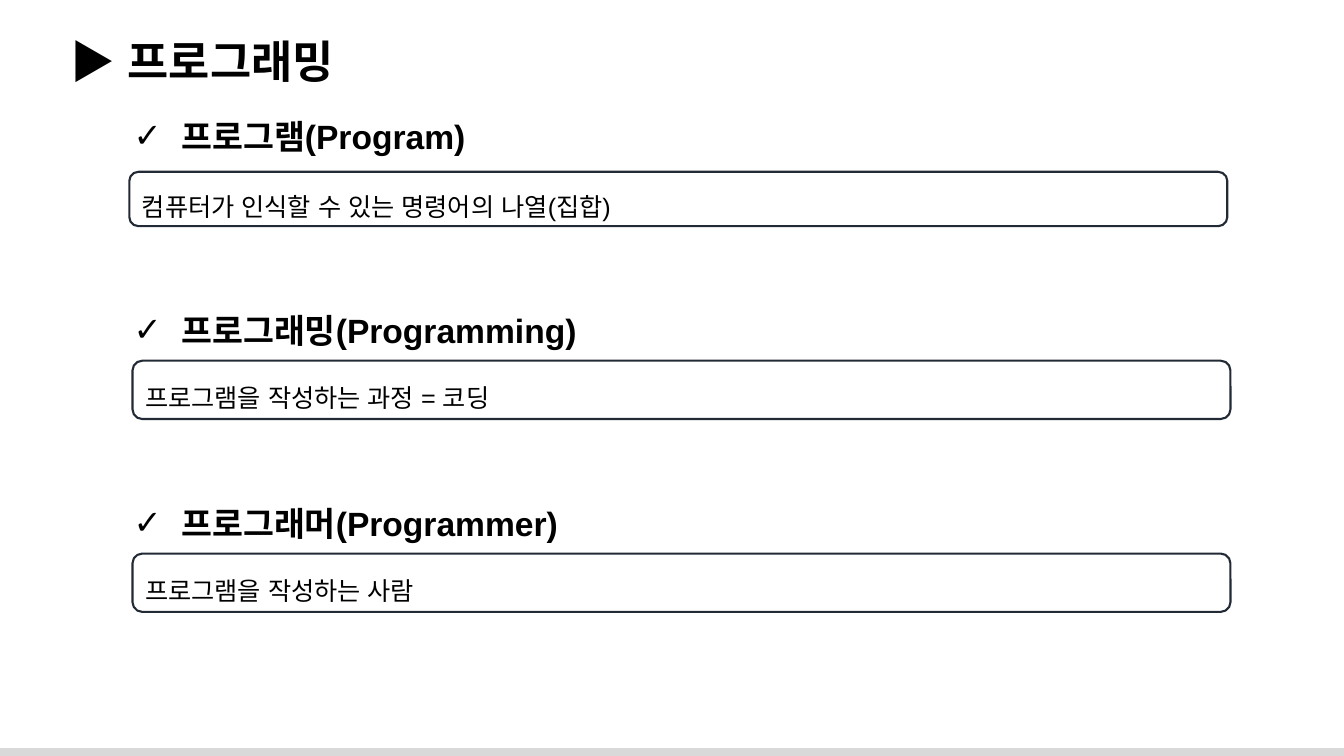
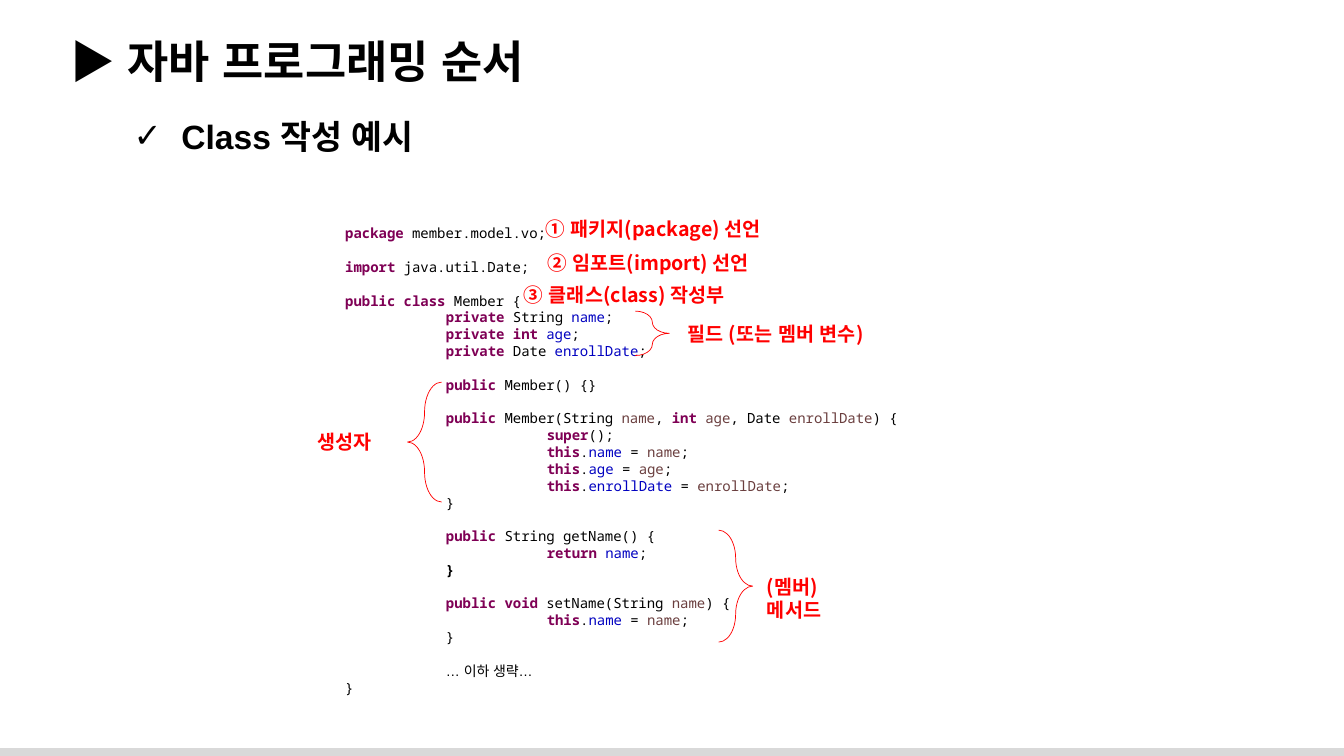
from lxml import etree
from pptx import Presentation
from pptx.dml.color import RGBColor
from pptx.enum.shapes import MSO_SHAPE
from pptx.enum.text import MSO_ANCHOR, MSO_AUTO_SIZE, PP_ALIGN
from pptx.oxml.ns import qn
from pptx.util import Cm, Pt

RECTANGLE = MSO_SHAPE.RECTANGLE
ROUNDED = MSO_SHAPE.ROUNDED_RECTANGLE
LEFT_BRACE = MSO_SHAPE.LEFT_BRACE
RIGHT_BRACE = MSO_SHAPE.RIGHT_BRACE
LEFT = PP_ALIGN.LEFT
TOP = MSO_ANCHOR.TOP
MIDDLE = MSO_ANCHOR.MIDDLE
NO_AUTOFIT = MSO_AUTO_SIZE.NONE
TITLE_ONLY = 5

WIDTH, HEIGHT = 33.87, 19.05
BLACK, RED, NAVY, GREY = "000000", "FF0000", "222A35", "D9D9D9"
TEXT_FONT, LABEL_FONT, CODE_FONT = "Arial", "Noto Sans CJK KR", "Noto Sans Mono"
TAB_STOPS = (2.54, 5.08)

# First letter of a code piece: its colour and weight
CODE_STYLES = {
    "*": ("7F0055", True),   # keyword
    "$": ("0000C0", False),  # field
    "@": ("6A3E3E", False),  # parameter
    "!": (BLACK, True),      # strong
    ".": (BLACK, False),     # plain
}

# Pieces of a line are divided by "|"
CLASS_CODE = """\
*package |.member.model.vo;

*import |.java.util.Date;

*public class |.Member {
*\tprivate |.String |$name|.;
*\tprivate int |$age|.;
*\tprivate |.Date |$enrollDate|.;

*\tpublic |.Member() {}

*\tpublic |.Member(String |@name|., |*int |@age|., Date |@enrollDate|.) {
*\t\tsuper|.();
*\t\tthis|..|$name |.= |@name|.;
*\t\tthis|..|$age |.= |@age|.;
*\t\tthis|..|$enrollDate |.= |@enrollDate|.;
.\t}

*\tpublic |.String getName() {
*\t\treturn |$name|.;
!\t}

*\tpublic void |.setName(String |@name|.) {
*\t\tthis|..|$name |.= |@name|.;
.\t}

.\t… 이하 생략…
.}"""


def color(hex_text):
    return RGBColor.from_string(hex_text)


class Deck:
    """Holds the shared style and the current slide."""

    def __init__(self):
        self.presentation = Presentation()
        self.presentation.slide_width = Cm(WIDTH)
        self.presentation.slide_height = Cm(HEIGHT)
        self.layout = self.presentation.slide_layouts[TITLE_ONLY]
        self.slide = None

    def add_slide(self, title):
        first = self.slide is None
        self.slide = self.presentation.slides.add_slide(self.layout)
        if first:
            self.add_band_to_layout()
        shape = self.slide.shapes.title
        shape.left, shape.top, shape.width, shape.height = (
            Cm(1.52), Cm(0.71), Cm(32), Cm(1.63))
        frame = shape.text_frame
        frame.auto_size = NO_AUTOFIT
        frame.vertical_anchor = MIDDLE
        frame.text = "▶ " + title
        self.format(frame.paragraphs[0], TEXT_FONT, 32, bold=True)

    def add_band_to_layout(self):
        band = self.shape(RECTANGLE, 0, 18.85, WIDTH, 0.2, fill=GREY)
        self.layout.shapes.element.insert(2, band.element)

    def format(self, paragraph, font, size, hex_text=BLACK, bold=False):
        paragraph.alignment = LEFT
        paragraph.font.name = font
        paragraph.font.size = Pt(size)
        paragraph.font.bold = bold
        paragraph.font.color.rgb = color(hex_text)
        # East Asian typeface, which also sets the width of Korean word gaps
        defaults = paragraph._p.pPr.find(qn("a:defRPr"))
        etree.SubElement(defaults, qn("a:ea")).set("typeface", TEXT_FONT)

    def shape(self, kind, left, top, width, height, fill=None, line=None, weight=1):
        shape = self.slide.shapes.add_shape(
            kind, Cm(left), Cm(top), Cm(width), Cm(height))
        shape.shadow.inherit = False
        if fill:
            shape.fill.solid()
            shape.fill.fore_color.rgb = color(fill)
        else:
            shape.fill.background()
        if line:
            shape.line.color.rgb = color(line)
            shape.line.width = Pt(weight)
        else:
            shape.line.fill.background()
        return shape

    def text_frame(self, left, top, width, height):
        box = self.slide.shapes.add_textbox(
            Cm(left), Cm(top), Cm(width), Cm(height))
        box.text_frame.word_wrap = True
        box.text_frame.vertical_anchor = TOP
        return box.text_frame

    def heading(self, text, top, width):
        paragraph = self.text_frame(3.12, top, width, 1.27).paragraphs[0]
        paragraph.text = text
        # Check mark bullet with a hanging indent
        properties = paragraph._p.get_or_add_pPr()
        properties.set("marL", str(Cm(1.2)))
        properties.set("indent", str(-Cm(1.2)))
        etree.SubElement(properties, qn("a:buFont")).set("typeface", TEXT_FONT)
        etree.SubElement(properties, qn("a:buChar")).set("char", "✓")
        self.format(paragraph, TEXT_FONT, 24, bold=True)

    def definition(self, text, left, top, height):
        frame = self.shape(ROUNDED, left, top, 27.67, height,
                           line=NAVY, weight=1.5).text_frame
        frame.word_wrap = True
        frame.vertical_anchor = MIDDLE
        paragraph = frame.paragraphs[0]
        paragraph.text = text
        paragraph.line_spacing = 1.5
        self.format(paragraph, TEXT_FONT, 18)

    def label(self, text, left, top, width, height=0.86):
        paragraph = self.text_frame(left, top, width, height).paragraphs[0]
        paragraph.text = text
        self.format(paragraph, LABEL_FONT, 14, RED, bold=True)

    def brace(self, kind, left, top, height):
        shape = self.shape(kind, left, top, 0.86, height, line=RED, weight=0.5)
        shape.adjustments[0] = 0.87

    def tab_stops(self, paragraph):
        tab_list = etree.SubElement(paragraph._p.get_or_add_pPr(), qn("a:tabLst"))
        for position in TAB_STOPS:
            tab = etree.SubElement(tab_list, qn("a:tab"))
            tab.set("pos", str(Cm(position)))
            tab.set("algn", "l")

    def code(self, source, left, top, width, height):
        frame = self.text_frame(left, top, width, height)
        for index, line in enumerate(source.split("\n")):
            paragraph = frame.add_paragraph() if index else frame.paragraphs[0]
            paragraph.line_spacing = Pt(12.02)
            self.tab_stops(paragraph)
            self.format(paragraph, CODE_FONT, 10)
            for piece in filter(None, line.split("|")):
                hex_text, bold = CODE_STYLES[piece[0]]
                run = paragraph.add_run()
                run.text = piece[1:]
                run.font.color.rgb = color(hex_text)
                run.font.bold = bold


def main():
    deck = Deck()

    # Slide 1: three terms and their definitions
    deck.add_slide("프로그래밍")
    for term, term_top, term_width, meaning, left, top, height in (
        ("프로그램(Program)", 2.79, 9.6,
         "컴퓨터가 인식할 수 있는 명령어의 나열(집합)", 3.26, 4.33, 1.37),
        ("프로그래밍(Programming)", 7.68, 12.6,
         "프로그램을 작성하는 과정 = 코딩", 3.34, 9.09, 1.47),
        ("프로그래머(Programmer)", 12.55, 12.1,
         "프로그램을 작성하는 사람", 3.34, 13.95, 1.47),
    ):
        deck.heading(term, term_top, term_width)
        deck.definition(meaning, left, top, height)

    # Slide 2: annotated class
    deck.add_slide("자바 프로그래밍 순서")
    deck.heading("Class 작성 예시", 2.79, 8.2)
    deck.code(CLASS_CODE, 8.45, 5.54, 16.94, 12.22)
    for text, left, top, width in (
        ("① 패키지(package) 선언", 13.49, 5.34, 6.5),
        ("② 임포트(import) 선언", 13.54, 6.2, 6.1),
        ("③ 클래스(class) 작성부", 12.95, 7.01, 6.3),
        ("필드 (또는 멤버 변수)", 17.07, 7.98, 5.7),
        ("생성자", 7.75, 10.72, 2.3),
    ):
        deck.label(text, left, top, width)
    deck.label("(멤버)\v메서드", 19.08, 14.35, 3.53, 1.45)
    deck.brace(LEFT_BRACE, 10.27, 9.63, 3.02)
    deck.brace(RIGHT_BRACE, 16.01, 7.84, 1.12)
    deck.brace(RIGHT_BRACE, 18.11, 13.36, 2.82)

    deck.presentation.save("out.pptx")


if __name__ == "__main__":
    main()
